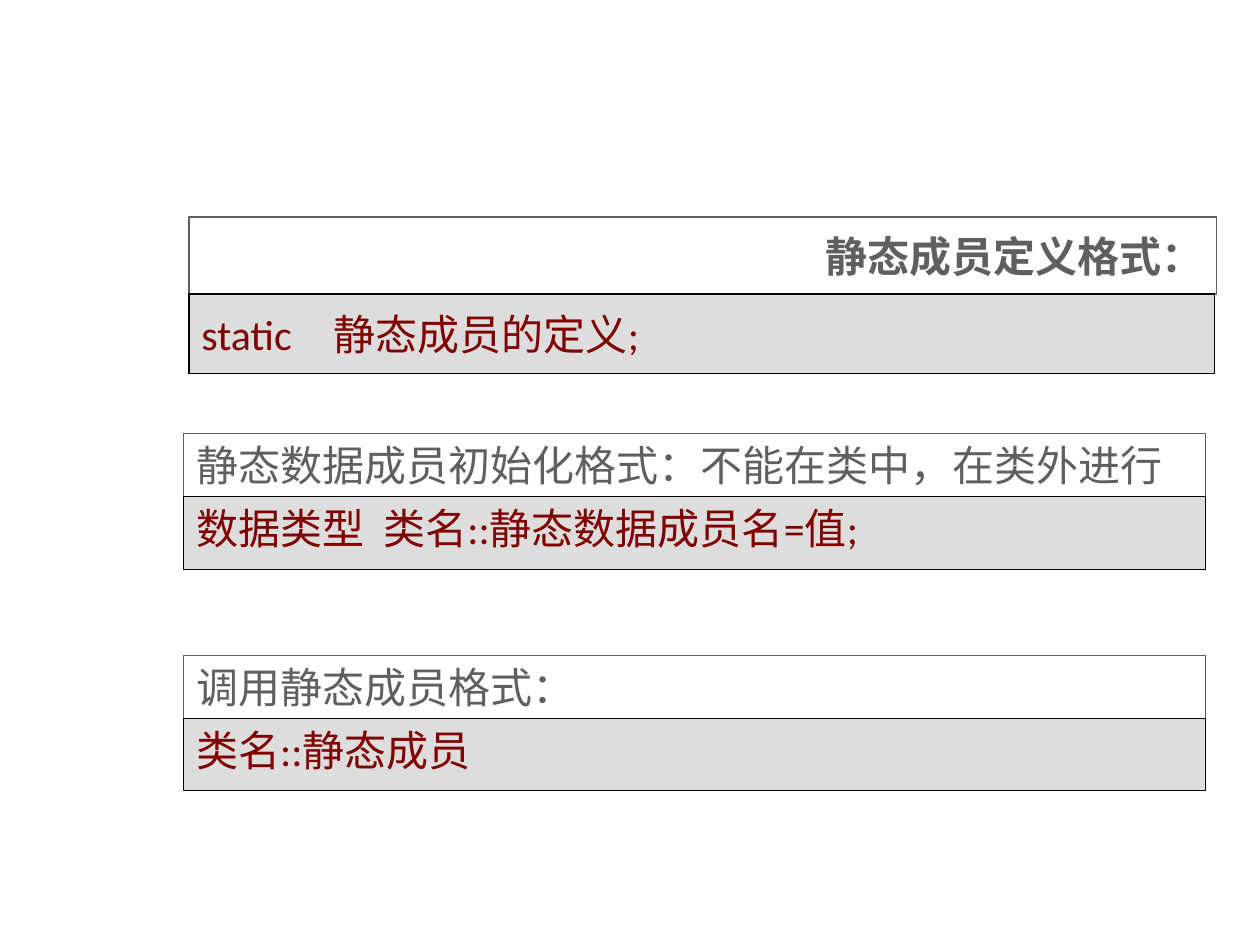
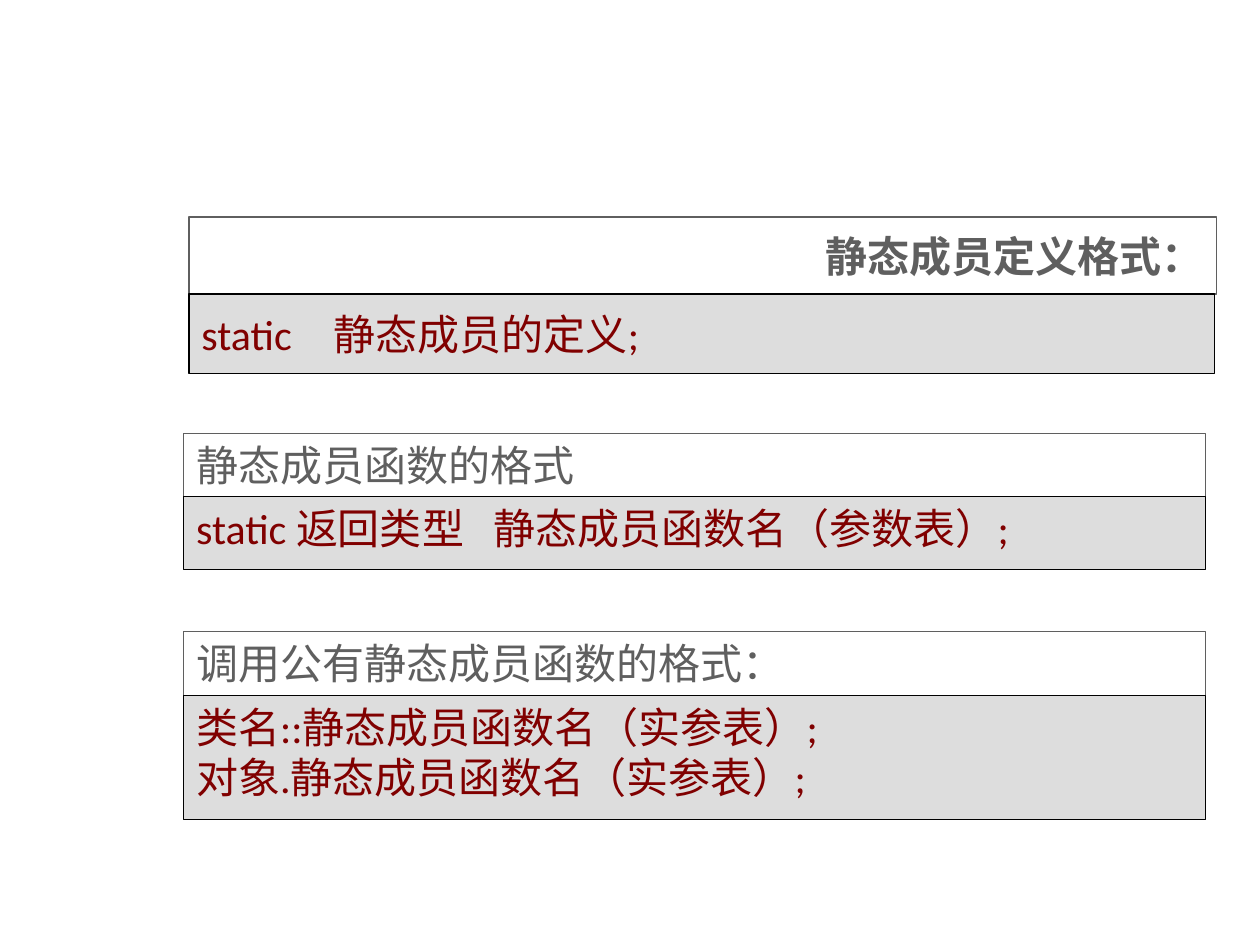
from dataclasses import dataclass

from lxml.etree import SubElement
from pptx import Presentation
from pptx.dml.color import RGBColor as RGB
from pptx.enum.shapes import MSO_SHAPE as SHAPE
from pptx.enum.text import MSO_ANCHOR as ANCHOR, MSO_AUTO_SIZE as FIT, PP_ALIGN as ALIGN
from pptx.oxml.ns import qn
from pptx.util import Pt


@dataclass(frozen=True)
class Theme:
    white: RGB = RGB(0xFF, 0xFF, 0xFF)
    grey: RGB = RGB(0x5F, 0x5F, 0x5F)
    pale: RGB = RGB(0xDD, 0xDD, 0xDD)
    black: RGB = RGB(0, 0, 0)
    red: RGB = RGB(0x80, 0, 0)
    body: str = "Calibri"
    head: str = "Times New Roman"
    size: Pt = Pt(24)
    rule: Pt = Pt(0.75)


THEME = Theme()
LEFT, WIDE, HEAD = 105, 584, 36.3


def place(shape, left, top, width, height):
    shape.left, shape.top = Pt(left), Pt(top)
    shape.width, shape.height = Pt(width), Pt(height)


def paint(shape, fill, line):
    if fill is None:
        shape.fill.background()
    else:
        shape.fill.solid()
        shape.fill.fore_color.rgb = fill
    shape.line.color.rgb = line
    shape.line.width = THEME.rule


def write(shape, lines, color, font, align, anchor, bold=False):
    frame = shape.text_frame
    frame.word_wrap = True
    frame.auto_size = FIT.NONE
    frame.vertical_anchor = anchor
    for i, line in enumerate(lines):
        para = frame.add_paragraph() if i else frame.paragraphs[0]
        para.alignment = align
        run = para.add_run()
        run.text = line
        run.font.name, run.font.size = font, THEME.size
        run.font.bold = bold
        run.font.color.rgb = color


def set_tab(shape, stop):
    """Put one left tab stop, in points, in the first paragraph."""
    props = shape.text_frame.paragraphs[0]._p.get_or_add_pPr()
    tabs = SubElement(props, qn("a:tabLst"))
    SubElement(tabs, qn("a:tab"), pos=str(Pt(stop)), algn="l")


def add_box(shapes, area, lines, fill, line, color, anchor=ANCHOR.TOP):
    box = shapes.add_shape(SHAPE.RECTANGLE, *map(Pt, area))
    box.shadow.inherit = False
    paint(box, fill, line)
    write(box, lines, color, THEME.body, ALIGN.JUSTIFY, anchor)
    return box


def add_code(shapes, area, lines, anchor=ANCHOR.TOP):
    return add_box(shapes, area, lines, THEME.pale, THEME.black, THEME.red, anchor)


def add_rule(slide, top, height, head, lines, stop=None):
    """Group a heading with the grey syntax bar right below it."""
    shapes = slide.shapes.add_group_shape().shapes
    add_box(shapes, (LEFT, top, WIDE, HEAD), [head], None, THEME.grey, THEME.grey)
    code = add_code(shapes, (LEFT, top + HEAD, WIDE, height), lines)
    if stop:
        set_tab(code, stop)


def add_page(deck, rules):
    slide = deck.slides.add_slide(deck.slide_layouts[5])
    title = slide.shapes.title
    place(title, 108, 124, 587, 44)
    paint(title, THEME.white, THEME.grey)
    write(title, ["静态成员定义格式："], THEME.grey, THEME.head,
          ALIGN.RIGHT, ANCHOR.MIDDLE, bold=True)
    add_code(slide.shapes, (108, 168, 586, 45.4), ["static　静态成员的定义;"], ANCHOR.MIDDLE)
    for rule in rules:
        add_rule(slide, *rule)


def main():
    deck = Presentation()
    deck.slide_width, deck.slide_height = Pt(720), Pt(540)
    add_page(deck, [
        (247.6, 41.6, "静态数据成员初始化格式：不能在类中，在类外进行",
         ["数据类型\t类名::静态数据成员名=值;"], 107),
        (374.4, 41, "调用静态成员格式：", ["类名::静态成员"]),
    ])
    add_page(deck, [
        (247.6, 41.6, "静态成员函数的格式",
         ["static 返回类型\t静态成员函数名（参数表）;"], 170),
        (361, 71.2, "调用公有静态成员函数的格式：",
         ["类名::静态成员函数名（实参表）;", "对象.静态成员函数名（实参表）;"]),
    ])
    deck.save("out.pptx")


if __name__ == "__main__":
    main()
